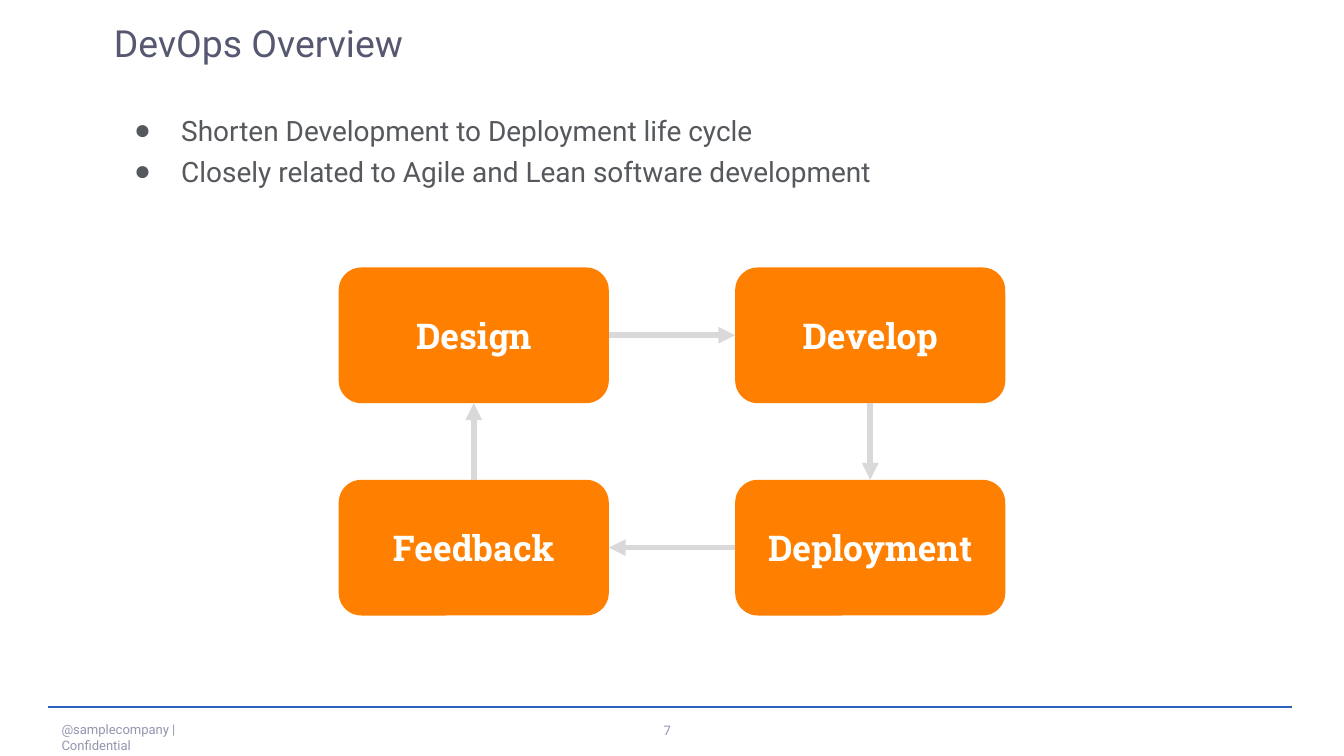
import pptx
import pptx.util
import pptx.dml.color
import pptx.enum.shapes
import pptx.enum.text
import pptx.oxml.ns
import lxml.etree

Inches, Pt = pptx.util.Inches, pptx.util.Pt
RGB = pptx.dml.color.RGBColor.from_string
ALIGN = pptx.enum.text.PP_ALIGN
ANCHOR = pptx.enum.text.MSO_ANCHOR
qn = pptx.oxml.ns.qn

COLORS = {
    "rule": "2E60BD", "footer": "9296AE", "title": "555870",
    "body": "55585C", "box": "FF8000", "label": "FFFFFF", "arrow": "D9D9D9",
}

prs = pptx.Presentation()
prs.slide_width = Inches(10)
prs.slide_height = prs.slide_width * 9 // 16
s = prs.slides.add_slide(prs.slide_layouts[6])


def write(sp, lines, size, color, font="Roboto", inset=0.05, anchor=ANCHOR.TOP):
    tf = sp.text_frame
    tf.word_wrap = True
    tf.vertical_anchor = anchor
    tf.margin_left = tf.margin_right = Inches(0.1)
    tf.margin_top = tf.margin_bottom = Inches(inset)
    for i, line in enumerate(lines):
        p = tf.add_paragraph() if i else tf.paragraphs[0]
        r = p.add_run()
        r.text = line
        r.font.name, r.font.size = font, Pt(size)
        r.font.color.rgb = RGB(COLORS[color])
    return tf.paragraphs


def connect(x1, y1, x2, y2, color, width):
    cn = s.shapes.add_connector(
        pptx.enum.shapes.MSO_CONNECTOR.STRAIGHT,
        Inches(x1), Inches(y1), Inches(x2), Inches(y2))
    cn.line.color.rgb = RGB(COLORS[color])
    cn.line.width = Pt(width)
    lxml.etree.SubElement(cn._element.spPr, qn("a:effectLst"))
    return cn


connect(0.36, 5.26, 9.61, 5.26, "rule", 1)

for text, x, y, w in [("@samplecompany | Confidential", 0.36, 5.32, 1.56),
                      ("7", 4.84, 5.33, 0.32)]:
    sp = s.shapes.add_textbox(Inches(x), Inches(y), Inches(w), Inches(0.22))
    write(sp, [text], 7, "footer")
    sp.text_frame.word_wrap = False

title = s.shapes.add_textbox(Inches(0.75), Inches(0.14), Inches(8.86), Inches(0.39))
write(title, ["DevOps Overview"], 20, "title", anchor=ANCHOR.MIDDLE)[0].line_spacing = 0.9

body = s.shapes.add_textbox(Inches(0.75), Inches(0.69), Inches(8.49), Inches(0.76))
points = ["Shorten Development to Deployment life cycle",
          "Closely related to Agile and Lean software development"]
for p in write(body, points, 15, "body", inset=0.1):
    pPr = p._p.get_or_add_pPr()
    pPr.set("marL", str(Inches(0.5)))
    pPr.set("indent", str(Inches(-0.35)))
    clr = lxml.etree.SubElement(pPr, qn("a:buClr"))
    lxml.etree.SubElement(clr, qn("a:srgbClr"), val=COLORS["body"])
    lxml.etree.SubElement(pPr, qn("a:buFont"), typeface="Arial")
    lxml.etree.SubElement(pPr, qn("a:buChar"), char="●")
    p.line_spacing = 1.22

LEFT, TOP = 2.52, 1.99
COL, ROW = 2.95, 1.58
BOX_W, BOX_H = 2.01, 1.01
stages = [("Design", 0, 0), ("Develop", 1, 0), ("Deployment", 1, 1), ("Feedback", 0, 1)]
boxes = []
for name, col, row in stages:
    sp = s.shapes.add_shape(
        pptx.enum.shapes.MSO_SHAPE.ROUNDED_RECTANGLE,
        Inches(LEFT + col * COL), Inches(TOP + row * ROW), Inches(BOX_W), Inches(BOX_H))
    sp.adjustments[0] = 0.167
    sp.shadow.inherit = False
    sp.fill.solid()
    sp.fill.fore_color.rgb = RGB(COLORS["box"])
    sp.line.fill.background()
    p = write(sp, [name], 19, "label", "Roboto Slab", 0.1, ANCHOR.MIDDLE)[0]
    p.alignment = ALIGN.CENTER
    p.runs[0].font.bold = True
    boxes.append(sp)

for i, (start, end) in enumerate([(3, 1), (2, 0), (1, 3), (0, 2)]):
    cn = connect(0, 0, 1, 1, "arrow", 3)
    cn.begin_connect(boxes[i], start)
    cn.end_connect(boxes[(i + 1) % len(boxes)], end)
    lxml.etree.SubElement(cn.line._get_or_add_ln(), qn("a:tailEnd"), type="triangle")

prs.save("out.pptx")
